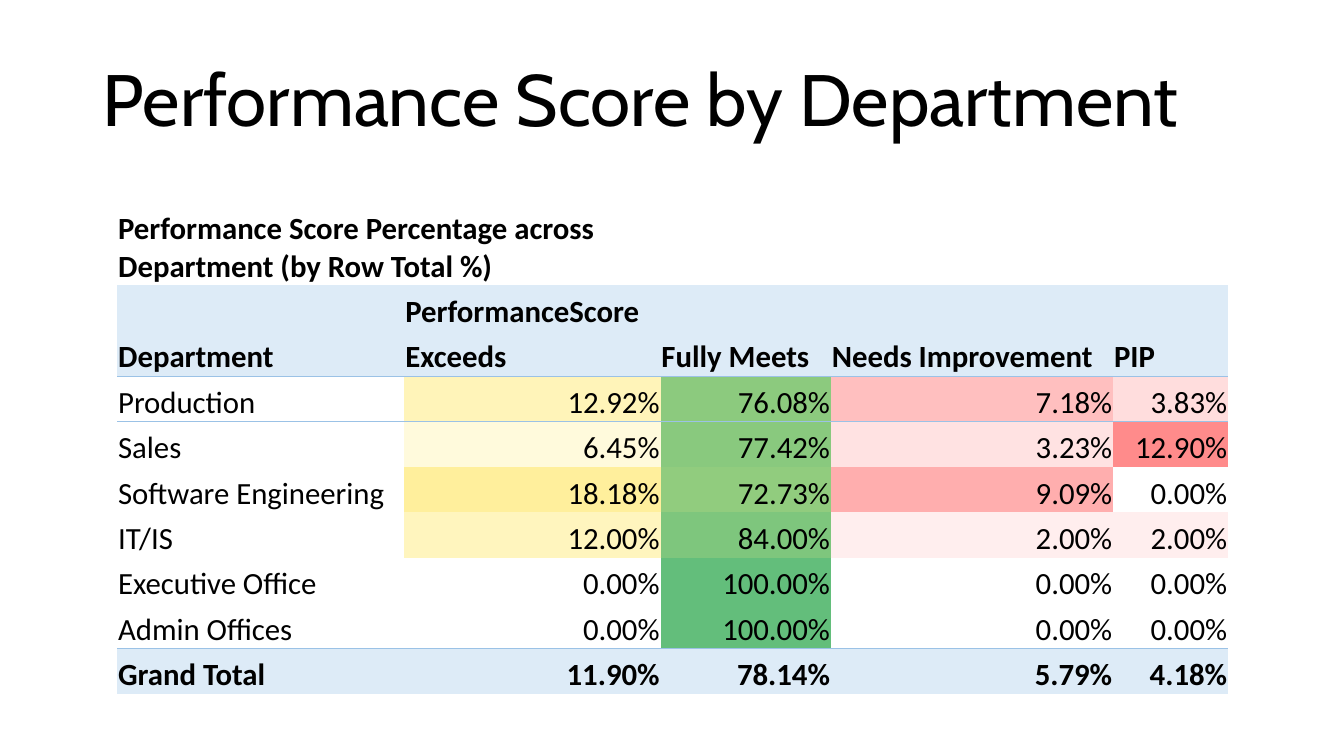
from lxml import etree
from pptx import Presentation, util as u
from pptx.dml.color import RGBColor
from pptx.enum import text
from pptx.oxml import ns

COLORS = {"ink": "000000", "band": "DDEBF7", "rule": "9BC2E6"}
HEAT = {
    "Production": ["FFF4B9", "8CCA7E", "FFBFBF", "FFDDDD"],
    "Sales": ["FFFADC", "89C97E", "FFE2E2", "FF8B8B"],
    "Software Engineering": ["FFEF9C", "91CC7E", "FFAEAE", "FFFFFF"],
    "IT/IS": ["FFF5BE", "7EC67D", "FFEEEE", "FFEEEE"],
    "Executive Office": ["FFFFFF", "63BE7B", "FFFFFF", "FFFFFF"],
    "Admin Offices": ["FFFFFF", "63BE7B", "FFFFFF", "FFFFFF"],
}
SCORES = [
    ["Performance Score Percentage across Department (by Row Total %)", "", "", "", ""],
    ["", "PerformanceScore", "", "", ""],
    ["Department", "Exceeds", "Fully Meets", "Needs Improvement", "PIP"],
    ["Production", 12.92, 76.08, 7.18, 3.83],
    ["Sales", 6.45, 77.42, 3.23, 12.90],
    ["Software Engineering", 18.18, 72.73, 9.09, 0],
    ["IT/IS", 12, 84, 2, 2],
    ["Executive Office", 0, 100, 0, 0],
    ["Admin Offices", 0, 100, 0, 0],
    ["Grand Total", 11.90, 78.14, 5.79, 4.18],
]
COLUMN_WIDTHS = [205.2, 182.9, 121.7, 201.6, 82.1]
CAPTION_HEIGHT, ROW_HEIGHT = 58.3, 32.4
NO_GRID = "{2D5ABB26-0587-4C30-8999-92F81FD0307C}"


class Deck:
    """Holds the style and the current slide, and draws each kind of element."""

    def __init__(self, width, height):
        self.prs = Presentation()
        self.prs.slide_width, self.prs.slide_height = u.Pt(width), u.Pt(height)
        self.s = self.prs.slides.add_slide(self.prs.slide_layouts[6])

    def style(self, p, font, size, bold=False):
        for r in p.runs:
            r.font.name, r.font.size, r.font.bold = font, u.Pt(size), bold
            r.font.color.rgb = RGBColor.from_string(COLORS["ink"])

    def title(self, wording, x, y, w, h):
        tf = self.s.shapes.add_textbox(u.Pt(x), u.Pt(y), u.Pt(w), u.Pt(h)).text_frame
        tf.word_wrap = True
        tf.vertical_anchor = text.MSO_ANCHOR.MIDDLE
        tf.text = wording
        p = tf.paragraphs[0]
        p.line_spacing = 0.9
        self.style(p, "Cabin", 52)

    def border(self, cell, side):
        ln = etree.Element(ns.qn(f"a:ln{side}"), w=str(u.Pt(0.5)))
        fill = etree.SubElement(ln, ns.qn("a:solidFill"))
        etree.SubElement(fill, ns.qn("a:srgbClr"), val=COLORS["rule"])
        cell._tc.get_or_add_tcPr().insert(0, ln)

    def cell(self, cell, value, bold, fill):
        number = not isinstance(value, str)
        cell.margin_left = cell.margin_right = cell.margin_top = u.Pt(0.7)
        cell.margin_bottom = 0
        cell.vertical_anchor = text.MSO_ANCHOR.BOTTOM
        cell.text = f"{value:.2f}%" if number else value
        p = cell.text_frame.paragraphs[0]
        p.alignment = text.PP_ALIGN.RIGHT if number else text.PP_ALIGN.LEFT
        self.style(p, "Calibri", 22, bold)
        if fill:
            cell.fill.solid()
            cell.fill.fore_color.rgb = RGBColor.from_string(fill)
        else:
            cell.fill.background()

    def score_table(self, x, y):
        last = len(SCORES) - 1
        height = CAPTION_HEIGHT + ROW_HEIGHT * last
        tbl = self.s.shapes.add_table(
            len(SCORES), len(COLUMN_WIDTHS), u.Pt(x), u.Pt(y),
            u.Pt(sum(COLUMN_WIDTHS)), u.Pt(height)).table
        tbl.first_row = tbl.horz_banding = False
        tbl._tbl.tblPr.find(ns.qn("a:tableStyleId")).text = NO_GRID
        for col, width in zip(tbl.columns, COLUMN_WIDTHS):
            col.width = u.Pt(width)
        sides = {2: "B", 3: "T", last - 1: "B", last: "T"}
        for i, row in enumerate(SCORES):
            tbl.rows[i].height = u.Pt(ROW_HEIGHT if i else CAPTION_HEIGHT)
            plain = [None] * 5 if i == 0 else [COLORS["band"]] * 5
            fills = [None] + HEAT[row[0]] if row[0] in HEAT else plain
            for j, (value, fill) in enumerate(zip(row, fills)):
                c = tbl.cell(i, j)
                self.cell(c, value, row[0] not in HEAT, fill)
                if i in sides:
                    self.border(c, sides[i])
        tbl.cell(0, 0).merge(tbl.cell(0, 1))


def main():
    deck = Deck(960, 540)
    deck.title("Performance Score by Department", 66, 14.4, 828, 118.8)
    deck.score_table(83.7, 145.6)
    deck.prs.save("out.pptx")


if __name__ == "__main__":
    main()
